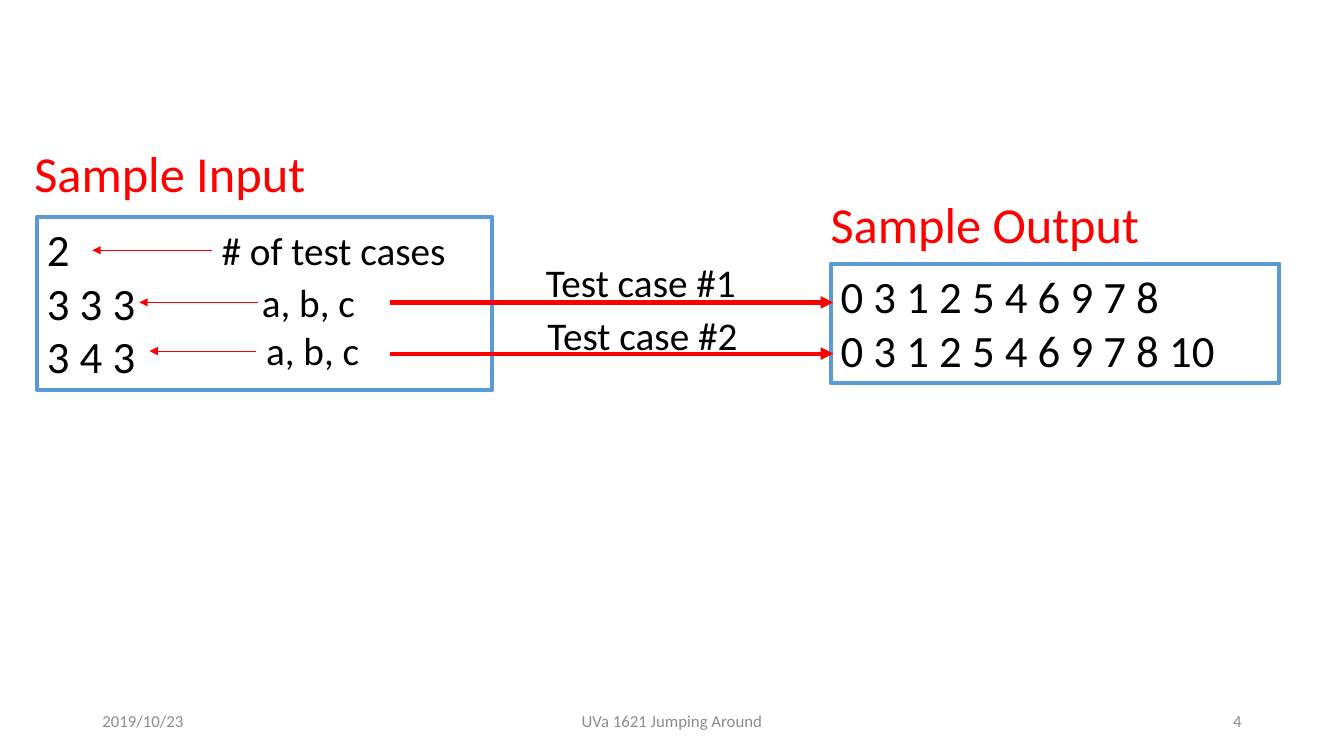
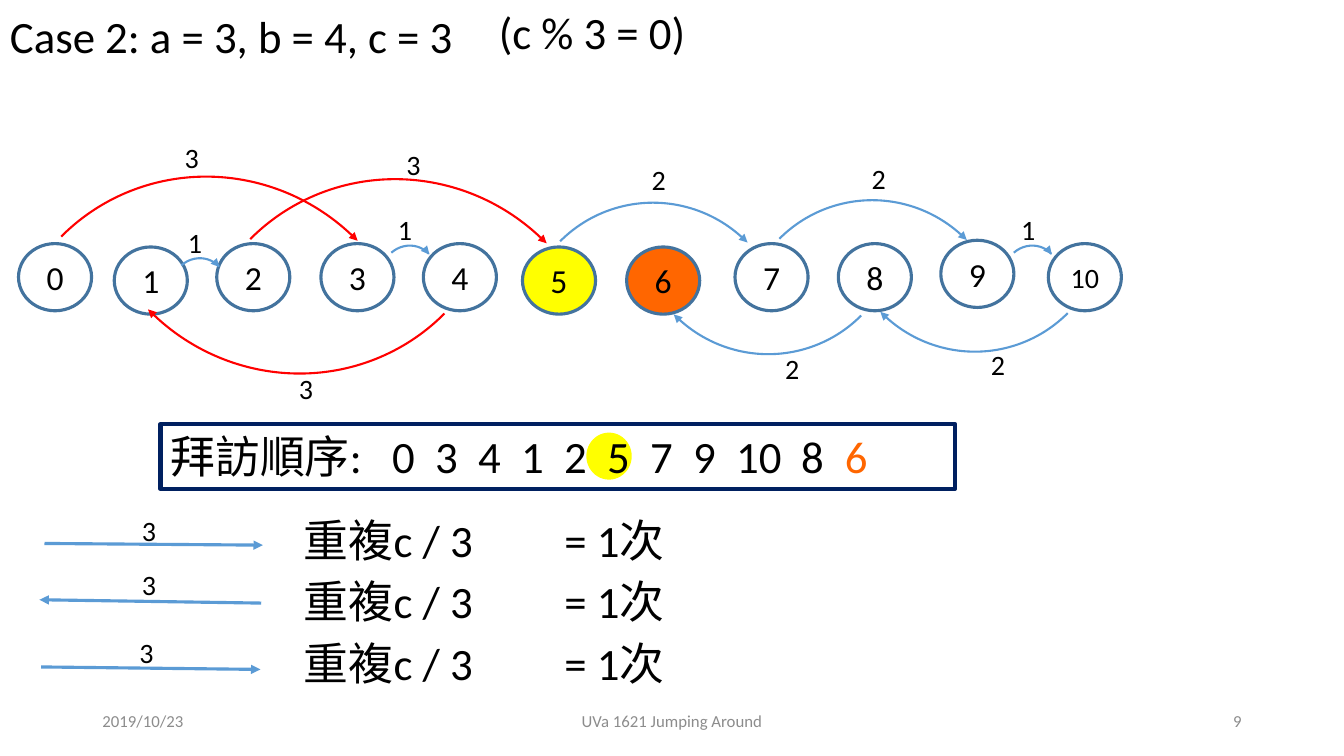
import math
from itertools import groupby

from lxml import etree
from pptx import Presentation
from pptx import util as u
from pptx.dml.color import RGBColor
from pptx.enum import shapes, text
from pptx.oxml.ns import qn

COLS, ROWS = 160, 90
BLACK, GREY, RED, BLUE = "000000", "8C8C8C", "FF0000", "5B9BD5"
NAVY, RING, YELLOW, ORANGE = "002060", "43739E", "FFFF00", "FF6600"
LEFT, CENTER, RIGHT = text.PP_ALIGN.LEFT, text.PP_ALIGN.CENTER, text.PP_ALIGN.RIGHT
OVAL, RECT, ARC = (shapes.MSO_SHAPE.OVAL, shapes.MSO_SHAPE.RECTANGLE,
                   shapes.MSO_SHAPE.ARC)


def rgb(value):
    return RGBColor.from_string(value)


def is_cjk(char):
    return ord(char) >= 0x2E80


class Deck:
    latin, cjk = "Calibri", "Noto Sans CJK SC"
    heading, body, note, small, foot = 36, 32, 28, 20, 12

    def __init__(self):
        self.prs = Presentation()
        self.prs.slide_width = u.Inches(13.33)
        self.prs.slide_height = u.Inches(7.5)
        self.s = None

    def x(self, cols):
        return round(self.prs.slide_width * cols / COLS)

    def y(self, rows):
        return round(self.prs.slide_height * rows / ROWS)

    def box(self, at):
        left, top, width, height = at
        return self.x(left), self.y(top), self.x(width), self.y(height)

    def slide(self, number):
        self.s = self.prs.slides.add_slide(self.prs.slide_layouts[6])
        for left, width, label, align in (
                (11, 36, "2019/10/23", LEFT),
                (53, 54, "UVa 1621 Jumping Around", CENTER),
                (113, 36, str(number), RIGHT)):
            sp = self.label((left, 83.4, width, 4.8), label, self.foot, GREY, align)
            sp.text_frame.vertical_anchor = text.MSO_ANCHOR.MIDDLE

    def add_words(self, p, words, size, color):
        for wide, chars in groupby(words, is_cjk):
            r = p.add_run()
            r.text = "".join(chars)
            r.font.size = u.Pt(size)
            r.font.color.rgb = rgb(color)
            r.font.name = self.cjk if wide else self.latin
            if wide:
                etree.SubElement(r.font._element, qn("a:ea"), typeface=self.cjk)

    def fill_text(self, sp, words, size, color=BLACK, align=LEFT, tabs=()):
        tf = sp.text_frame
        tf.word_wrap = True
        for i, line in enumerate(words.split("\n")):
            p = tf.add_paragraph() if i else tf.paragraphs[0]
            p.alignment = align
            if tabs:
                stops = etree.SubElement(p._p.get_or_add_pPr(), qn("a:tabLst"))
                for stop in tabs:
                    etree.SubElement(stops, qn("a:tab"), pos=str(self.x(stop)), algn="l")
            self.add_words(p, line, size, color)
        return sp

    def label(self, at, words, size, color=BLACK, align=LEFT, tabs=()):
        sp = self.s.shapes.add_textbox(*self.box(at))
        return self.fill_text(sp, words, size, color, align, tabs)

    def shape(self, kind, at, fill=None, line=None, width=3):
        sp = self.s.shapes.add_shape(kind, *self.box(at))
        sp.shadow.inherit = False
        if fill:
            sp.fill.solid()
            sp.fill.fore_color.rgb = rgb(fill)
        else:
            sp.fill.background()
        if line:
            sp.line.color.rgb = rgb(line)
            sp.line.width = u.Pt(width)
        else:
            sp.line.fill.background()
        return sp

    def frame(self, at, words, line, tabs=()):
        sp = self.shape(RECT, at, line=line)
        sp.text_frame.vertical_anchor = text.MSO_ANCHOR.TOP
        return self.fill_text(sp, words, self.body, tabs=tabs)

    def node(self, left, top, words, fill=None, size=24):
        sp = self.shape(OVAL, (left, top, 8.7, 8), fill, RING, 2.25)
        sp.text_frame.vertical_anchor = text.MSO_ANCHOR.MIDDLE
        self.fill_text(sp, words, size, align=CENTER)

    def arrow(self, x1, y1, x2, y2, color, width):
        c = self.s.shapes.add_connector(shapes.MSO_CONNECTOR.STRAIGHT,
                                        self.x(x1), self.y(y1), self.x(x2), self.y(y2))
        c.line.color.rgb = rgb(color)
        c.line.width = u.Pt(width)
        sp_pr = c._element.spPr
        etree.SubElement(sp_pr.find(qn("a:ln")), qn("a:tailEnd"), type="triangle")
        etree.SubElement(sp_pr, qn("a:effectLst"))

    def hop(self, left, top, size, turn, color):
        width, height = size
        sp = self.shape(ARC, (left, top, width, height), line=color, width=1.5)
        sp.adjustments[0], sp.adjustments[1] = 162, 215.59
        sp.rotation = turn
        angle = math.radians(turn - 0.7)
        radius = width / 2
        dx, dy = radius * math.cos(angle), radius * math.sin(angle)
        end_x, end_y = left + width / 2 + dx, top + height / 2 + dy
        self.arrow(end_x, end_y, end_x - 0.03 * dy, end_y + 0.03 * dx, color, 0.5)

    def step(self, left, top, words):
        self.label((left, top, 6.7, 5.3), words, self.small)


def samples(d):
    d.slide(4)
    d.label((2.9, 16.3, 38.2, 8.5), "Sample Input", d.heading, RED)
    d.label((97.7, 22.4, 42.5, 8.5), "Sample Output", d.heading, RED)
    d.frame((4.4, 25.8, 54.2, 20.6), "2\n3 3 3\n3 4 3", BLUE)
    d.frame((98.9, 31.4, 53.4, 14.2),
            "0 3 1 2 5 4 6 9 7 8\n0 3 1 2 5 4 6 9 7 8 10", BLUE)
    for left, top, width, words in (
            (25.2, 26.4, 30, "# of test cases"),
            (30, 32.5, 16.4, "a, b, c"),
            (30.5, 38.3, 15, "a, b, c"),
            (63.8, 30.2, 26, "Test case #1"),
            (64, 36.5, 26, "Test case #2")):
        d.label((left, top, width, 6.8), words, d.note)
    for start, end, row in ((25.2, 11, 29.8), (30.7, 16.6, 36), (30.5, 17.8, 41.8)):
        d.arrow(start, row, end, row, RED, 0.5)
    for row in (36, 42.1):
        d.arrow(46.4, row, 99.2, row, RED, 3)


def case_two(d):
    d.slide(9)
    d.label((0, 0.5, 57.1, 7.7), "Case 2: a = 3, b = 4, c = 3", d.body)
    d.label((58.2, 0, 46.9, 7.7), "(c % 3 = 0)", d.body)

    d.shape(OVAL, (69.8, 51.5, 5.4, 5.6), YELLOW)
    order = ("0", "3", "4", "1", "2", "5", "7", "9", "10", "8")
    tabs = [26.4 + 5.12 * i for i in range(9)] + [75.1, 80.3]
    sp = d.frame((19.1, 50.5, 94.6, 7.7),
                 "拜訪順序:\t" + "\t".join(order) + "\t", NAVY, tabs)
    d.add_words(sp.text_frame.paragraphs[0], "6", d.body, ORANGE)

    lefts = (2.2, 13.6, 25.8, 38.2, 50.4, 62.2, 74.6, 87.5, 99.8, 112, 124.8)
    tops = {1: 29.4, 5: 29.4, 6: 29.4, 9: 28.6}
    fills = {5: YELLOW, 6: ORANGE}
    for i, left in enumerate(lefts):
        d.node(left, tops.get(i, 29), str(i), fills.get(i), 24 if i < 10 else d.small)

    above, below, tilted = 314.8, 134.8, 318.5
    hops = (
        ("3", (49, 49.9), RED, (
            (0.5, 20.8, above, 20.8, 16.1),
            (23, 21.1, above, 47.2, 17),
            (10.7, -5.2, below, 34.4, 43.6))),
        ("2", (31.2, 31.3), BLUE, (
            (62.2, 24.1, above, 76.4, 18.8),
            (88.3, 23.8, above, 102.6, 18.6),
            (75.8, 10.9, below, 92.3, 41.2),
            (100.4, 10.6, below, 116.8, 40.8))),
        ("1", (6.5, 6.2), BLUE, (
            (20.4, 30.8, tilted, 21.2, 26.3),
            (45.4, 29.3, tilted, 46.2, 24.7),
            (119.5, 29.3, tilted, 120.4, 24.7))))
    for words, size, color, places in hops:
        for left, top, turn, label_left, label_top in places:
            d.hop(left, top, size, turn, color)
            d.step(label_left, label_top, words)

    for top, ends, label_left, label_top in (
            (60.4, (5.3, 64.7, 31.3, 64.9), 15.7, 60.5),
            (67.7, (31.1, 71.8, 4.7, 71.4), 15.7, 67),
            (75.1, (4.9, 79.4, 31, 79.7), 15.4, 75.1)):
        d.label((35, top, 47.6, 7.7), "重複c / 3\t= 1次", d.body, tabs=[31])
        d.arrow(*ends, BLUE, 2.25)
        d.step(label_left, label_top, "3")


def main():
    d = Deck()
    samples(d)
    case_two(d)
    d.prs.save("out.pptx")


if __name__ == "__main__":
    main()
